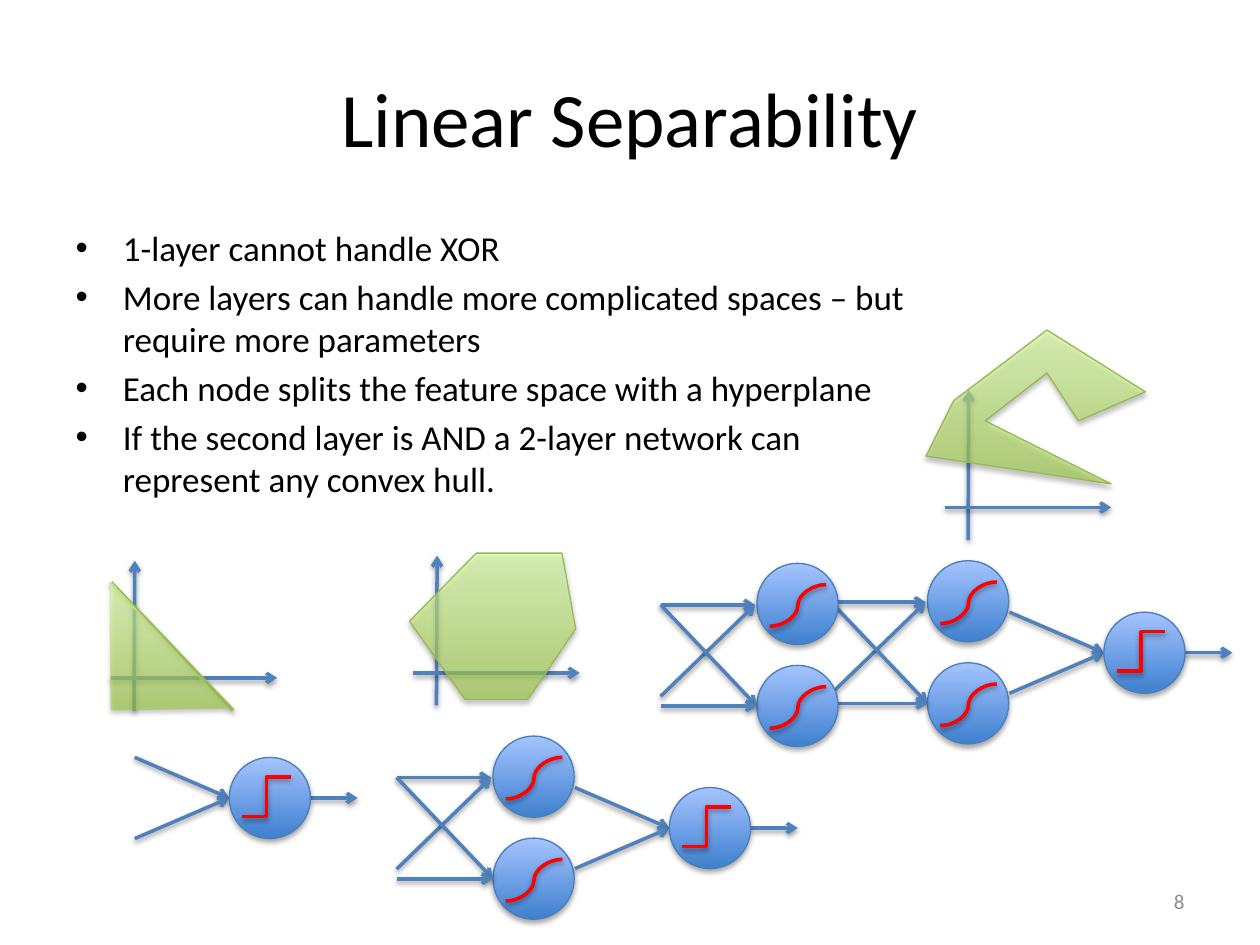
from dataclasses import dataclass

from lxml import etree
from pptx import Presentation
from pptx.dml.color import RGBColor
from pptx.enum.shapes import MSO_CONNECTOR, MSO_SHAPE
from pptx.enum.text import MSO_ANCHOR, PP_ALIGN
from pptx.oxml.ns import qn
from pptx.util import Pt

STRAIGHT, ELBOW, CURVE = MSO_CONNECTOR.STRAIGHT, MSO_CONNECTOR.ELBOW, MSO_CONNECTOR.CURVE
OVAL = MSO_SHAPE.OVAL
LEFT, CENTER, RIGHT = PP_ALIGN.LEFT, PP_ALIGN.CENTER, PP_ALIGN.RIGHT
MIDDLE = MSO_ANCHOR.MIDDLE


@dataclass(frozen=True)
class Theme:
    font: str = "Calibri"
    title_size: int = 44
    body_size: int = 20
    number_size: int = 12
    text: str = "000000"
    muted: str = "8C8C8C"
    arrow: str = "4F81BD"
    activation: str = "FF0000"
    boundary: str = "9BBB59"
    node_line: str = "4B7EBC"
    node_fill: tuple = ("3F80CE", "A4C4FF")
    region_line: str = "98B955"
    region_fill: tuple = ("A0CA4A", "DAFFA5")
    region_opacity: int = 65


THEME = Theme()
NODE = 46.4       # node diameter
PAIR_GAP = 58.3   # vertical step between the two nodes of a layer

BULLETS = [
    "1-layer cannot handle XOR",
    "More layers can handle more complicated spaces – but require more parameters",
    "Each node splits the feature space with a hyperplane",
    "If the second layer is AND a 2-layer network can represent any convex hull.",
]
HALF_PLANE = [(63.4, 332.8), (63.4, 406), (131, 404.9)]
CONVEX_HULL = [(234, 355), (265.7, 399.6), (301.7, 399.6), (329, 359.3),
               (321.1, 316.1), (272.2, 316.1)]
CONCAVE_REGION = [(545, 229), (598.3, 188.6), (654.5, 223.9), (616.3, 240.5),
                  (598.3, 213.1), (563, 240.5), (635, 276.5), (529.2, 260.6)]


# Formatting helpers
def add_shadow(shape, opacity, distance):
    properties = shape._element.spPr
    effects = etree.SubElement(properties, qn("a:effectLst"))
    shadow = etree.SubElement(effects, qn("a:outerShdw"), blurRad=str(Pt(3.1)),
                              dist=str(Pt(distance)), dir="5400000", rotWithShape="0")
    color = etree.SubElement(shadow, qn("a:srgbClr"), val="000000")
    etree.SubElement(color, qn("a:alpha"), val=str(opacity * 1000))


def fill_gradient(shape, colors, opacity=100):
    shape.fill.gradient()
    shape.fill.gradient_angle = 90
    for stop, color in zip(shape.fill.gradient_stops, colors):
        stop.color.rgb = RGBColor.from_string(color)
    if opacity < 100:
        for element in shape._element.spPr.iter(qn("a:srgbClr")):
            etree.SubElement(element, qn("a:alpha"), val=str(opacity * 1000))


def set_outline(shape, color, width):
    shape.line.color.rgb = RGBColor.from_string(color)
    shape.line.width = Pt(width)


def write_text(paragraph, text, size, color, alignment):
    paragraph.alignment = alignment
    run = paragraph.add_run()
    run.text = text
    run.font.name = THEME.font
    run.font.size = Pt(size)
    run.font.color.rgb = RGBColor.from_string(color)


def place(shape, left, top, width, height):
    shape.left, shape.top = Pt(left), Pt(top)
    shape.width, shape.height = Pt(width), Pt(height)


# Lines, regions and nodes
def add_line(shapes, start, end, color, kind=STRAIGHT):
    line = shapes.add_connector(kind, *(Pt(value) for value in (*start, *end)))
    set_outline(line, color, 2)
    add_shadow(line, 38, 1.6)
    return line


def add_arrow(shapes, start, end):
    line = add_line(shapes, start, end, THEME.arrow)
    etree.SubElement(line.line._get_or_add_ln(), qn("a:tailEnd"), type="arrow")


def add_axes(shapes, left, top):
    add_arrow(shapes, (left + 13.2, top + 85.6), (left + 13.6, top))
    add_arrow(shapes, (left, top + 67), (left + 95, top + 67))


def add_region(shapes, points, outlined=True):
    corners = [(Pt(x), Pt(y)) for x, y in points]
    builder = shapes.build_freeform(*corners[0])
    builder.add_line_segments(corners[1:], close=outlined)
    region = builder.convert_to_shape()
    fill_gradient(region, THEME.region_fill, THEME.region_opacity)
    if outlined:
        set_outline(region, THEME.region_line, 0.75)
    else:
        region.line.fill.background()
    add_shadow(region, 35, 1.8)


def add_node(shapes, left, top, kind):
    group = shapes.add_group_shape().shapes
    circle = group.add_shape(OVAL, Pt(left), Pt(top), Pt(NODE), Pt(NODE))
    fill_gradient(circle, THEME.node_fill)
    set_outline(circle, THEME.node_line, 0.75)
    add_shadow(circle, 35, 1.8)
    if kind == CURVE:
        start, end = (left + 7.3, top + 36), (left + 39.6, top + 12.2)
    else:
        start, end = (left + 7.5, top + 33.8), (left + 35.1, top + 11.2)
    add_line(group, start, end, THEME.activation, kind)


# Network layers
def add_step_output(shapes, left, top):
    middle = top + NODE / 2
    for start_y in (top, top + NODE):
        add_arrow(shapes, (left - 54, start_y), (left, middle))
    add_arrow(shapes, (left + NODE, middle), (left + NODE + 27, middle))
    add_node(shapes, left, top, ELBOW)


def add_sigmoid_layer(shapes, left, top):
    for row in range(2):
        add_node(shapes, left, top + row * PAIR_GAP, CURVE)
    source, upper, lower = left - 55, top + 23.7, top + 81.6
    add_arrow(shapes, (source, upper), (left - 1, upper))
    add_arrow(shapes, (source, top + 76), (left - 1, upper))
    add_arrow(shapes, (source, upper), (left, lower))
    add_arrow(shapes, (source, lower), (left, lower))


# Text parts
def add_title(slide):
    title = slide.shapes.title
    place(title, 36, 21.6, 648, 90)
    title.text_frame.vertical_anchor = MIDDLE
    write_text(title.text_frame.paragraphs[0], "Linear Separability",
               THEME.title_size, THEME.text, CENTER)


def add_bullets(slide):
    body = slide.placeholders[1]
    place(body, 36, 126, 507, 155)
    frame = body.text_frame
    for index, text in enumerate(BULLETS):
        paragraph = frame.add_paragraph() if index else frame.paragraphs[0]
        write_text(paragraph, text, THEME.body_size, THEME.text, LEFT)
        properties = paragraph._p.get_or_add_pPr()
        properties.set("marL", str(Pt(27)))
        properties.set("indent", str(-Pt(27)))


def add_slide_number(slide):
    box = slide.shapes.add_textbox(Pt(516), Pt(500.5), Pt(168), Pt(28.8))
    box.text_frame.word_wrap = True
    box.text_frame.vertical_anchor = MIDDLE
    write_text(box.text_frame.paragraphs[0], "8", THEME.number_size, THEME.muted, RIGHT)


def main():
    presentation = Presentation()
    presentation.slide_width, presentation.slide_height = Pt(720), Pt(540)
    slide = presentation.slides.add_slide(presentation.slide_layouts[1])
    shapes = slide.shapes
    add_title(slide)
    add_bullets(slide)
    add_slide_number(slide)

    # One layer: half-plane
    add_axes(shapes, 63.4, 320.4)
    add_line(shapes, (63.4, 332.8), (133.2, 406), THEME.boundary)
    add_region(shapes, HALF_PLANE, outlined=False)
    add_step_output(shapes, 131, 432.8)

    # Two layers: convex hull
    add_axes(shapes, 236.2, 317.5)
    add_region(shapes, CONVEX_HULL)
    add_sigmoid_layer(shapes, 281.7, 420.6)
    add_step_output(shapes, 382.5, 450)

    # Three layers: arbitrary region
    add_axes(shapes, 540, 223)
    add_region(shapes, CONCAVE_REGION)
    add_sigmoid_layer(shapes, 530, 320.4)
    add_step_output(shapes, 630.8, 349.8)
    add_sigmoid_layer(shapes, 432.5, 321.9)

    presentation.save("out.pptx")


if __name__ == "__main__":
    main()
